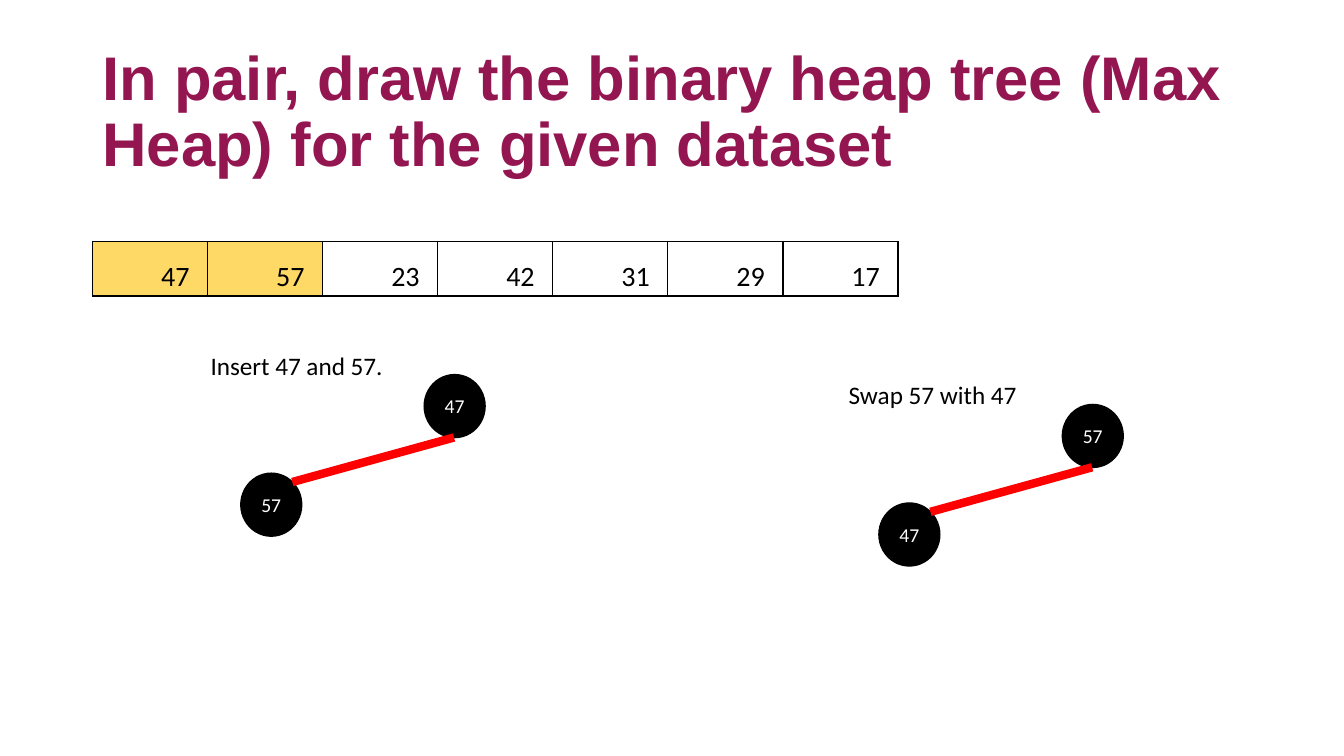
from dataclasses import dataclass

from lxml.etree import SubElement
from pptx import Presentation
from pptx.dml.color import RGBColor
from pptx.enum.shapes import MSO_CONNECTOR, MSO_SHAPE
from pptx.enum.text import MSO_ANCHOR, MSO_AUTO_SIZE, PP_ALIGN
from pptx.oxml.ns import qn
from pptx.util import Pt


@dataclass(frozen=True)
class Theme:
    heading_font: str = "Arial"
    body_font: str = "Calibri"
    heading: RGBColor = RGBColor(0x94, 0x16, 0x51)
    ink: RGBColor = RGBColor(0, 0, 0)
    paper: RGBColor = RGBColor(255, 255, 255)
    edge: RGBColor = RGBColor(255, 0, 0)
    inserted: RGBColor = RGBColor(0xFF, 0xD9, 0x66)
    title_size: int = 44
    value_size: int = 20
    caption_size: int = 18
    node_size: int = 14


theme = Theme()


def style(paragraph, size, color, font=theme.body_font):
    paragraph.font.name = font
    paragraph.font.size = Pt(size)
    paragraph.font.color.rgb = color


def add_borders(cell):
    """Draw a 1 pt line on all four sides; call before filling the cell."""
    properties = cell._tc.get_or_add_tcPr()
    for side in ("lnL", "lnR", "lnT", "lnB"):
        border = SubElement(properties, qn(f"a:{side}"), w=str(Pt(1)))
        solid = SubElement(border, qn("a:solidFill"))
        SubElement(solid, qn("a:srgbClr"), val=str(theme.ink))


deck = Presentation()
deck.slide_width, deck.slide_height = Pt(960), Pt(540)
slide = deck.slides.add_slide(deck.slide_layouts[5])

# Title
title = slide.shapes.title
title.left, title.top, title.width, title.height = Pt(66), Pt(28.8), Pt(874), Pt(104.4)
title.text_frame.text = "In pair, draw the binary heap tree (Max Heap) for the given dataset"
title.text_frame.auto_size = MSO_AUTO_SIZE.NONE
title.text_frame.vertical_anchor = MSO_ANCHOR.MIDDLE
heading = title.text_frame.paragraphs[0]
heading.alignment = PP_ALIGN.LEFT
heading.line_spacing = 0.9
style(heading, theme.title_size, theme.heading, theme.heading_font)
heading.font.bold = True

# Trees: caption, root, child and the offset from the first tree
NODE_WIDTH, NODE_HEIGHT = 43.5, 45
trees = [
    ("Insert 47 and 57.", "47", "57", 0, 0),
    ("Swap 57 with 47", "57", "47", 455.8, 21.3),
]
for caption_text, root, child, dx, dy in trees:
    for value, left, top in ((root, 303, 267.6), (child, 172, 338)):
        node = slide.shapes.add_shape(
            MSO_SHAPE.OVAL, Pt(left + dx), Pt(top + dy), Pt(NODE_WIDTH), Pt(NODE_HEIGHT)
        )
        node.shadow.inherit = False
        node.fill.solid()
        node.fill.fore_color.rgb = theme.ink
        node.line.color.rgb = theme.ink
        node.line.width = Pt(1)
        node.text_frame.text = value
        node.text_frame.vertical_anchor = MSO_ANCHOR.MIDDLE
        label = node.text_frame.paragraphs[0]
        label.alignment = PP_ALIGN.CENTER
        style(label, theme.node_size, theme.paper)

    edge = slide.shapes.add_connector(
        MSO_CONNECTOR.STRAIGHT, Pt(324.3 + dx), Pt(312.5 + dy), Pt(208.8 + dx), Pt(344.3 + dy)
    )
    edge.line.color.rgb = theme.edge
    edge.line.width = Pt(6)
    SubElement(edge._element.spPr, qn("a:effectLst"))

    caption = slide.shapes.add_textbox(Pt(143.3 + dx), Pt(246.4 + dy), Pt(140), Pt(29))
    caption.text_frame.word_wrap = False
    caption.text_frame.auto_size = MSO_AUTO_SIZE.SHAPE_TO_FIT_TEXT
    caption.text_frame.text = caption_text
    style(caption.text_frame.paragraphs[0], theme.caption_size, theme.ink)

# Dataset, with the inserted values highlighted
dataset = [47, 57, 23, 42, 31, 29, 17]
INSERTED_COUNT = 2
COLUMN_WIDTH = 82.2
array = slide.shapes.add_table(
    1, len(dataset), Pt(66.2), Pt(172.4), Pt(COLUMN_WIDTH * len(dataset)), Pt(39)
).table
array.first_row = array.horz_banding = False
for index, value in enumerate(dataset):
    array.columns[index].width = Pt(COLUMN_WIDTH)
    cell = array.cell(0, index)
    add_borders(cell)
    if index < INSERTED_COUNT:
        cell.fill.solid()
        cell.fill.fore_color.rgb = theme.inserted
    else:
        cell.fill.background()
    cell.margin_left = cell.margin_right = Pt(5)
    cell.margin_top = cell.margin_bottom = 0
    cell.vertical_anchor = MSO_ANCHOR.MIDDLE
    cell.text = str(value)
    entry = cell.text_frame.paragraphs[0]
    entry._p.get_or_add_pPr().set("marL", str(Pt(36)))
    entry.alignment = PP_ALIGN.CENTER
    entry.line_spacing = 1.5
    style(entry, theme.value_size, theme.ink)

deck.save("out.pptx")
